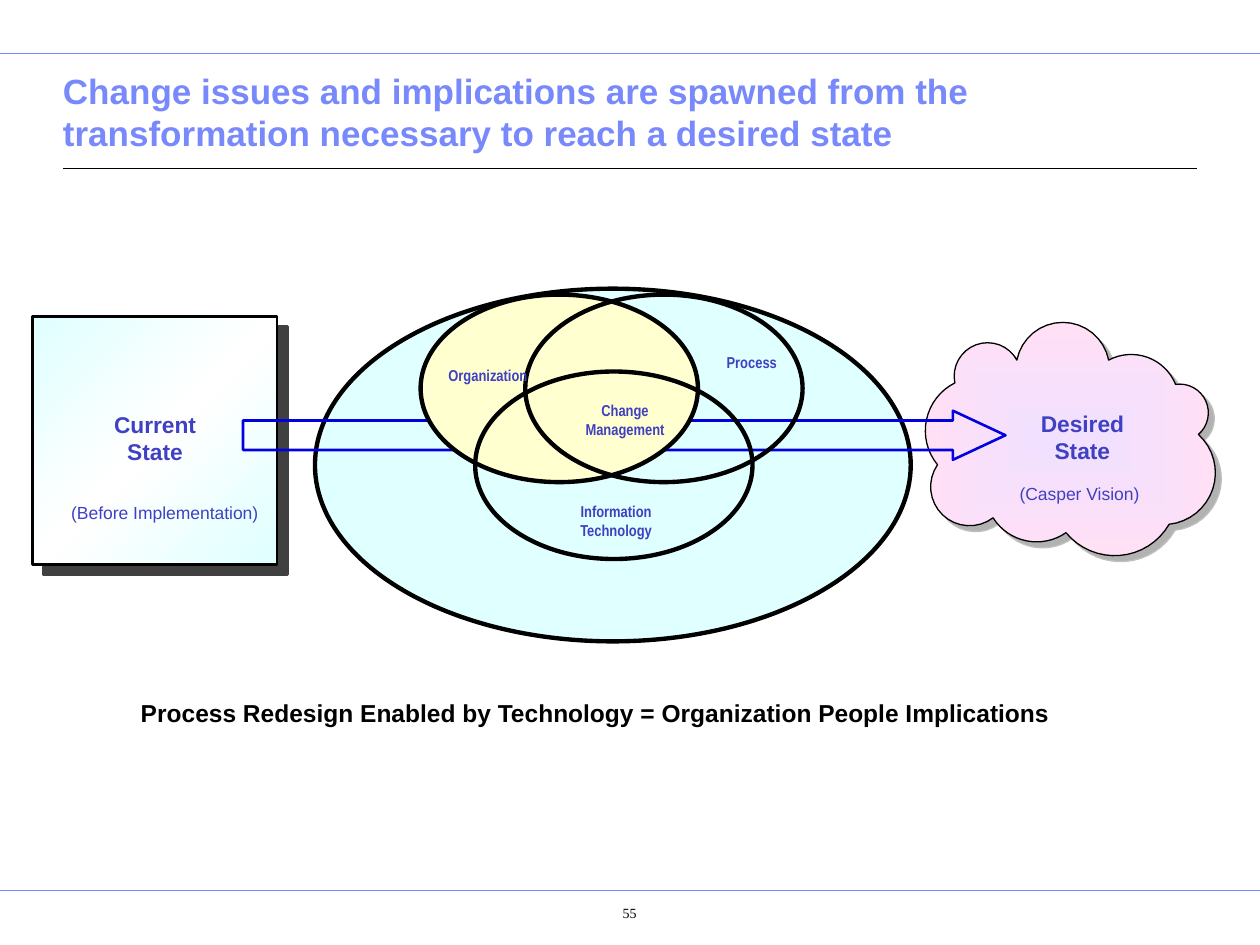
from math import atan2, cos, hypot, pi, sin

from lxml.etree import SubElement
from pptx import Presentation
from pptx.dml.color import RGBColor
from pptx.enum.shapes import MSO_CONNECTOR, MSO_SHAPE
from pptx.enum.text import MSO_ANCHOR, PP_ALIGN
from pptx.oxml.ns import qn
from pptx.util import Cm, Pt

BLACK = RGBColor(0x00, 0x00, 0x00)
PERIWINKLE = RGBColor(0x78, 0x89, 0xFB)
INDIGO = RGBColor(0x40, 0x40, 0xC2)
BLUE = RGBColor(0x00, 0x00, 0xE0)
CYAN = RGBColor(0xE0, 0xFF, 0xFF)
YELLOW = RGBColor(0xFF, 0xFF, 0xD0)
WHITE = RGBColor(0xFF, 0xFF, 0xFF)
LAVENDER = RGBColor(0xF1, 0xE0, 0xFF)
PINK = RGBColor(0xFF, 0xE0, 0xF5)
GRAY = RGBColor(0xB2, 0xB2, 0xB2)
SILVER = RGBColor(0xC0, 0xC0, 0xC0)
CHARCOAL = RGBColor(0x40, 0x40, 0x40)

STATE = {"name": "Arial", "size": Pt(13), "bold": True, "color": INDIGO}
NOTE = {"name": "Arial", "size": Pt(10), "bold": False, "color": INDIGO}
CIRCLE_LABEL = {"name": "Arial Narrow", "size": Pt(9), "bold": True, "color": INDIGO}
TITLE = {"name": "Arial", "size": Pt(20), "bold": True, "color": PERIWINKLE}
CAPTION = {"name": "Arial", "size": Pt(14), "bold": True, "color": BLACK}
PAGE = {"name": "Times New Roman", "size": Pt(8), "bold": False, "color": BLACK}

# Each lobe of the cloud: the cusp where it starts and a point on its bulge.
CLOUD_LOBES = [
    ((19.25, 7.72), (19.91, 6.91)),
    ((20.5, 7.26), (21.41, 6.5)),
    ((22.35, 7.26), (23.09, 7.19)),
    ((23.7, 7.75), (24.28, 8.03)),
    ((24.16, 8.76), (24.43, 9.91)),
    ((23.57, 10.57), (22.56, 11.2)),
    ((21.49, 10.74), (20.8, 10.92)),
    ((20.02, 10.44), (19.1, 10.46)),
    ((18.9, 9.37), (18.69, 8.41)),
]


def arc_points(start, middle, end, steps=16):
    """Return points on the clockwise circular arc through three points."""
    (ax, ay), (bx, by), (cx, cy) = start, middle, end
    a, b, c = (x * x + y * y for x, y in (start, middle, end))
    divisor = 2 * (ax * (by - cy) + bx * (cy - ay) + cx * (ay - by))
    center_x = (a * (by - cy) + b * (cy - ay) + c * (ay - by)) / divisor
    center_y = (a * (cx - bx) + b * (ax - cx) + c * (bx - ax)) / divisor
    radius = hypot(ax - center_x, ay - center_y)
    first = atan2(ay - center_y, ax - center_x)
    sweep = (atan2(cy - center_y, cx - center_x) - first) % (2 * pi)
    angles = [first + sweep * step / steps for step in range(1, steps + 1)]
    return [(center_x + radius * cos(angle), center_y + radius * sin(angle))
            for angle in angles]


class SlideBuilder:
    def __init__(self, presentation):
        self.slide = presentation.slides.add_slide(presentation.slide_layouts[6])
        self.shapes = self.slide.shapes

    def style(self, shape, fill, line, width):
        shape.shadow.inherit = False
        if fill is None:
            shape.fill.background()
        else:
            shape.fill.solid()
            shape.fill.fore_color.rgb = fill
        shape.line.color.rgb = line
        shape.line.width = Pt(width)
        return shape

    def shape(self, kind, left, top, width, height, fill=None, line=BLACK, weight=2.5):
        shape = self.shapes.add_shape(kind, Cm(left), Cm(top), Cm(width), Cm(height))
        return self.style(shape, fill, line, weight)

    def gradient(self, shape, colors, angle=None):
        """Fill with evenly spaced colors, linear at an angle or from the center."""
        solid = shape.fill._xPr.find(qn("a:solidFill"))
        gradient = solid.makeelement(qn("a:gradFill"), {"rotWithShape": "1"})
        stops = SubElement(gradient, qn("a:gsLst"))
        for index, color in enumerate(colors):
            position = 100000 * index // (len(colors) - 1)
            stop = SubElement(stops, qn("a:gs"), pos=str(position))
            SubElement(stop, qn("a:srgbClr"), val=str(color))
        if angle is None:
            center = SubElement(gradient, qn("a:path"), {"path": "rect"})
            SubElement(center, qn("a:fillToRect"),
                       {side: "50000" for side in ("l", "t", "r", "b")})
        else:
            SubElement(gradient, qn("a:lin"), ang=str(angle * 60000), scaled="0")
        solid.getparent().replace(solid, gradient)

    def drop_shadow(self, shape, color, distance):
        effects = shape._element.spPr.find(qn("a:effectLst"))
        shadow = SubElement(effects, qn("a:outerShdw"), blurRad="0",
                            dist=str(Pt(distance)), dir=str(45 * 60000),
                            algn="tl", rotWithShape="0")
        SubElement(shadow, qn("a:srgbClr"), val=str(color))

    def cloud(self, fill, line, offset=0):
        points = [CLOUD_LOBES[0][0]]
        for index, (cusp, bulge) in enumerate(CLOUD_LOBES):
            next_cusp = CLOUD_LOBES[(index + 1) % len(CLOUD_LOBES)][0]
            points += arc_points(cusp, bulge, next_cusp)
        corners = [(Cm(x + offset), Cm(y + offset)) for x, y in points]
        builder = self.shapes.build_freeform(*corners[0])
        builder.add_line_segments(corners[1:], close=True)
        return self.style(builder.convert_to_shape(), fill, line, 0.75)

    def rule(self, left, right, y, color, width):
        connector = self.shapes.add_connector(
            MSO_CONNECTOR.STRAIGHT, Cm(left), Cm(y), Cm(right), Cm(y))
        connector.line.color.rgb = color
        connector.line.width = Pt(width)
        SubElement(connector._element.spPr, qn("a:effectLst"))

    def text(self, lines, left, top, width, height, font, insets=(0, 0, 0, 0), **frame):
        """Add a text box; insets run left, top, right, bottom."""
        box = self.shapes.add_textbox(Cm(left), Cm(top), Cm(width), Cm(height))
        text_frame = box.text_frame
        alignment = frame.pop("alignment", PP_ALIGN.CENTER)
        sides = ("margin_left", "margin_top", "margin_right", "margin_bottom")
        settings = {"word_wrap": True, **dict(zip(sides, map(Cm, insets))), **frame}
        for name, value in settings.items():
            setattr(text_frame, name, value)
        text_frame.text = "\n".join(lines)
        for paragraph in text_frame.paragraphs:
            paragraph.alignment = alignment
            for name, value in font.items():
                if name == "color":
                    paragraph.font.color.rgb = value
                else:
                    setattr(paragraph.font, name, value)
        return box


def main():
    presentation = Presentation()
    presentation.slide_width, presentation.slide_height = Cm(25.4), Cm(19.05)
    builder = SlideBuilder(presentation)

    for y in (1.07, 17.96):
        builder.rule(0, 25.4, y, PERIWINKLE, 0.5)
    builder.rule(1.27, 24.13, 3.4, BLACK, 0.75)

    current_box = builder.shape(MSO_SHAPE.RECTANGLE, 0.66, 6.38, 4.93, 5, CYAN, weight=1.47)
    builder.gradient(current_box, [CYAN, WHITE, CYAN], angle=45)
    builder.drop_shadow(current_box, CHARCOAL, 8.3)
    builder.text(["Current", "State"], 1.83, 8.28, 2.59, 1.32, STATE)
    builder.shape(MSO_SHAPE.OVAL, 6.35, 5.82, 12.01, 7.11, CYAN)

    cloud_shadow = builder.cloud(GRAY, SILVER, offset=0.12)
    cloud = builder.cloud(LAVENDER, BLACK)
    builder.gradient(cloud, [LAVENDER, PINK])
    desired = builder.text(["Desired", "State"], 20.5, 8.26, 2.64, 1.32, STATE)
    builder.shapes.add_group_shape([cloud_shadow, cloud, desired])

    builder.text(["(Before Implementation)"], 1.3, 10.13, 4.04, 0.91, NOTE)
    builder.text(["(Casper Vision)"], 19.18, 9.73, 5.16, 1.42, NOTE)

    arrow = builder.shape(MSO_SHAPE.RIGHT_ARROW, 4.9, 8.28, 15.37, 0.99,
                          line=BLUE, weight=1.47)
    arrow.adjustments[0], arrow.adjustments[1] = 0.6, 1.07

    for left, top, fill in ((8.48, 5.94, YELLOW), (9.58, 7.49, None), (10.59, 5.94, None)):
        builder.shape(MSO_SHAPE.OVAL, left, top, 5.59, 3.78, fill)
    for lines, *place in (
        (["Process"], 14.38, 7.11, 1.55, 0.41),
        (["Change", "Management"], 11.38, 8.08, 2.44, 0.81),
        (["Organization"], 8.64, 7.37, 2.39, 0.41),
        (["Information", "Technology"], 11.33, 10.11, 2.18, 0.86),
    ):
        builder.text(lines, *place, CIRCLE_LABEL)

    builder.text(["Process Redesign Enabled by Technology = Organization People Implications"],
                 2.57, 13.94, 18.87, 0.86, CAPTION, (0.25, 0.13, 0.25, 0.13), word_wrap=False)
    builder.text(["Change issues and implications are spawned from the "
                  "transformation necessary to reach a desired state"],
                 1.27, 1.63, 22.86, 1.6, TITLE, (0, 0.13, 0, 0.13),
                 alignment=PP_ALIGN.LEFT, vertical_anchor=MSO_ANCHOR.BOTTOM)
    builder.text(["55"], 10.85, 18.06, 2.92, 0.89, PAGE, (1.02, 0.18, 0.25, 0.13))

    presentation.save("out.pptx")


if __name__ == "__main__":
    main()
